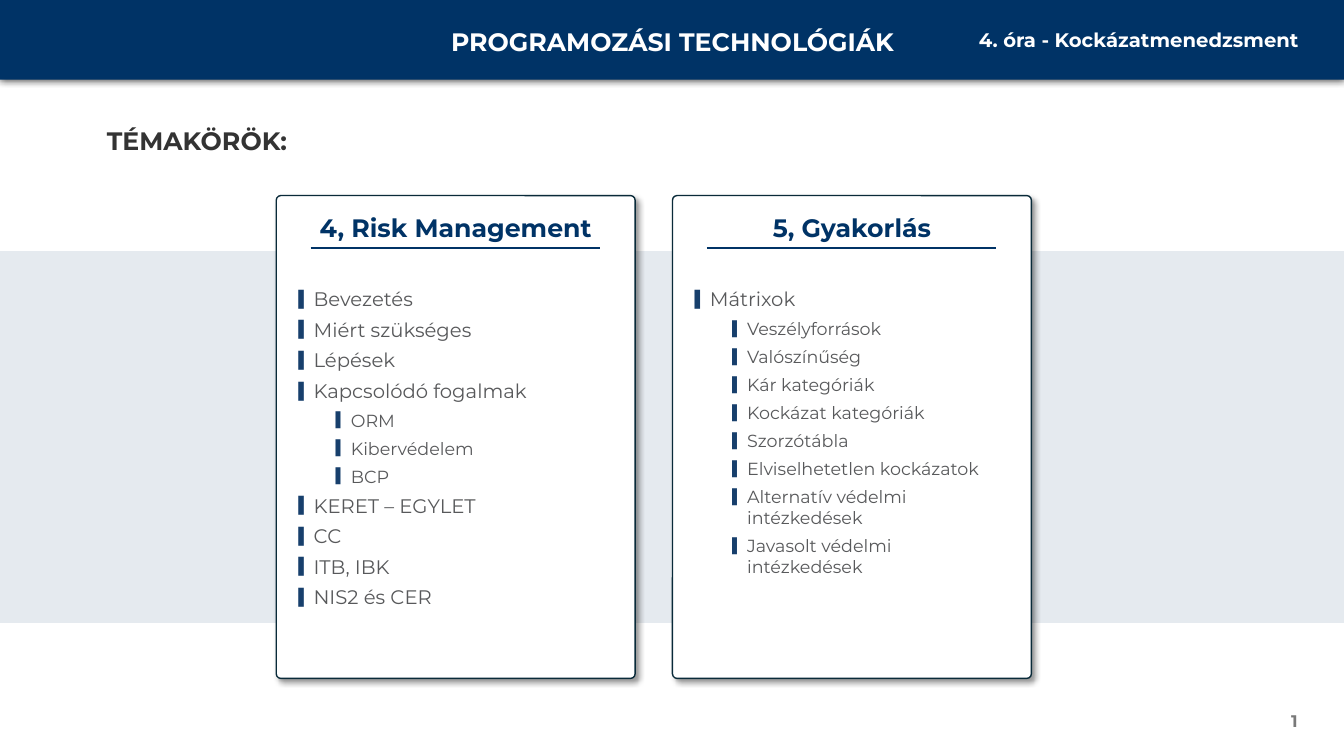
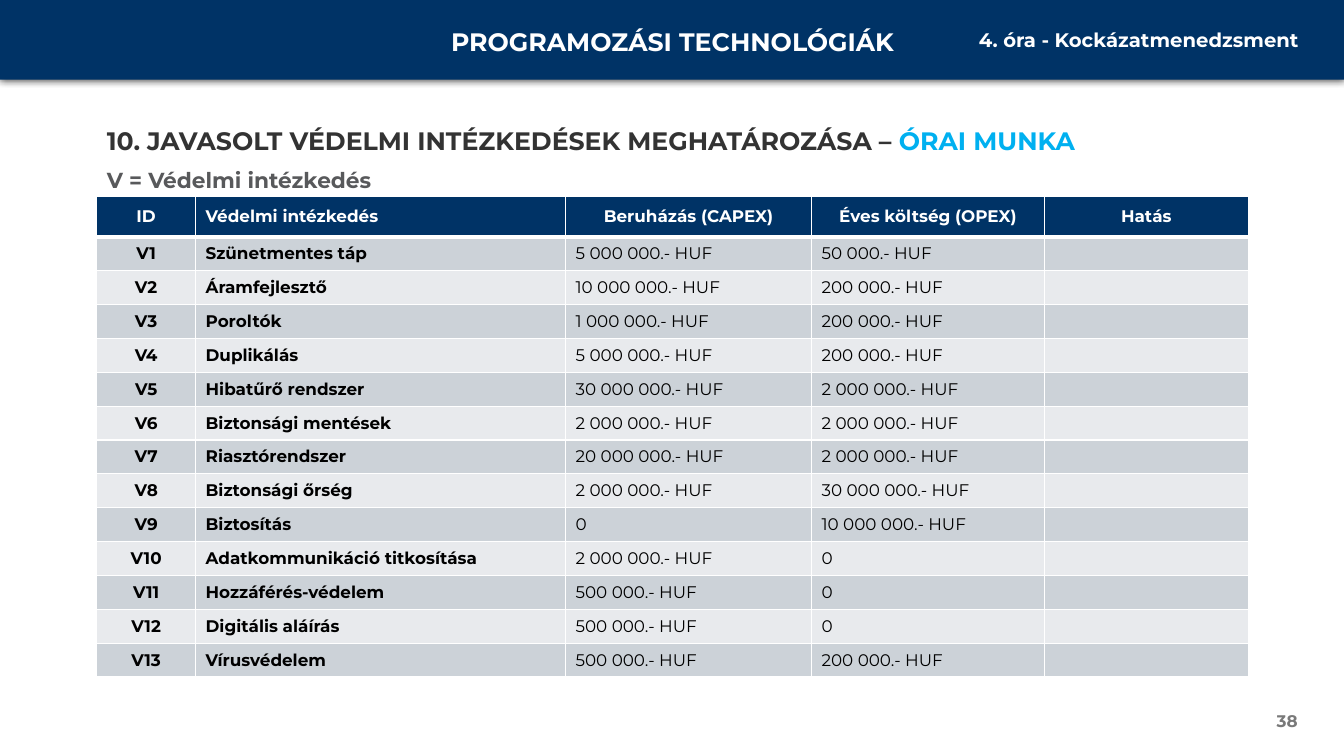
from dataclasses import dataclass

from lxml import etree
from pptx import Presentation
from pptx import util as u
from pptx.dml.color import RGBColor
from pptx.enum import shapes, text
from pptx.oxml import ns

PX = 9144
FONT = "Montserrat"
NAVY, WHITE, BLACK = "003366", "FFFFFF", "000000"
DARK, GREY, NUMBER_GREY = "333333", "58595B", "797979"
CARD_LINE, BULLET, ACCENT = "092A39", "173F6C", "00B0F0"
BANDS = ("E8EAED", "CCD2D8")
LEFT, CENTER, RIGHT = text.PP_ALIGN.LEFT, text.PP_ALIGN.CENTER, text.PP_ALIGN.RIGHT
TOP, MIDDLE = text.MSO_ANCHOR.TOP, text.MSO_ANCHOR.MIDDLE


@dataclass(frozen=True)
class Box:
    left: int
    top: int
    width: int
    height: int

    def emu(self) -> list[int]:
        return [px(v) for v in (self.left, self.top, self.width, self.height)]


@dataclass(frozen=True)
class Style:
    size: float
    color: str
    bold: bool = True
    align: text.PP_ALIGN = LEFT


@dataclass(frozen=True)
class Shadow:
    alpha: int
    blur: int
    dist: int
    angle: int


@dataclass(frozen=True)
class Item:
    text: str
    level: int = 0


@dataclass(frozen=True)
class Card:
    heading: str
    items: list[Item]


TITLE = Style(18, DARK)
CARD_TOP, CARD_W, CARD_H, CARD_LEFT, CARD_PITCH = 194, 356, 479, 274, 393
CARDS = [
    Card("4, Risk Management", [
        Item("Bevezetés"), Item("Miért szükséges"), Item("Lépések"),
        Item("Kapcsolódó fogalmak"), Item("ORM", 1), Item("Kibervédelem", 1),
        Item("BCP", 1), Item("KERET – EGYLET"), Item("CC"), Item("ITB, IBK"),
        Item("NIS2 és CER"),
    ]),
    Card("5, Gyakorlás", [
        Item("Mátrixok"), Item("Veszélyforrások", 1), Item("Valószínűség", 1),
        Item("Kár kategóriák", 1), Item("Kockázat kategóriák", 1),
        Item("Szorzótábla", 1), Item("Elviselhetetlen kockázatok", 1),
        Item("Alternatív védelmi intézkedések", 1),
        Item("Javasolt védelmi intézkedések", 1),
    ]),
]

COLUMNS = [98, 367, 244, 231, 202]
HEADER = ["ID", "Védelmi intézkedés", "Beruházás (CAPEX)", "Éves költség (OPEX)", "Hatás"]
MEASURES = [
    ("Szünetmentes táp", "5 000 000.- HUF", "50 000.- HUF"),
    ("Áramfejlesztő", "10 000 000.- HUF", "200 000.- HUF"),
    ("Poroltók", "1 000 000.- HUF", "200 000.- HUF"),
    ("Duplikálás", "5 000 000.- HUF", "200 000.- HUF"),
    ("Hibatűrő rendszer", "30 000 000.- HUF", "2 000 000.- HUF"),
    ("Biztonsági mentések", "2 000 000.- HUF", "2 000 000.- HUF"),
    ("Riasztórendszer", "20 000 000.- HUF", "2 000 000.- HUF"),
    ("Biztonsági őrség", "2 000 000.- HUF", "30 000 000.- HUF"),
    ("Biztosítás", "0", "10 000 000.- HUF"),
    ("Adatkommunikáció titkosítása", "2 000 000.- HUF", "0"),
    ("Hozzáférés-védelem", "500 000.- HUF", "0"),
    ("Digitális aláírás", "500 000.- HUF", "0"),
    ("Vírusvédelem", "500 000.- HUF", "200 000.- HUF"),
]


def px(n: int) -> int:
    return n * PX


def rgb(value: str) -> RGBColor:
    return RGBColor.from_string(value)


def sub(parent, tag: str, **attrs):
    return etree.SubElement(parent, ns.qn(tag), {k: str(v) for k, v in attrs.items()})


def set_font(p, style: Style) -> None:
    p.alignment = style.align
    p.font.name = FONT
    p.font.size = u.Pt(style.size)
    p.font.bold = style.bold
    p.font.color.rgb = rgb(style.color)


def prepare_frame(tf, anchor=TOP) -> None:
    tf.word_wrap = True
    tf.auto_size = text.MSO_AUTO_SIZE.NONE
    tf.vertical_anchor = anchor


def add_text(s, box: Box, words: str, style: Style, anchor=TOP) -> None:
    tf = s.shapes.add_textbox(*box.emu()).text_frame
    prepare_frame(tf, anchor)
    p = tf.paragraphs[0]
    p.text = words
    set_font(p, style)


def add_box(s, box: Box, fill: str, kind=shapes.MSO_SHAPE.RECTANGLE,
            alpha: int = 100, shadow: Shadow | None = None):
    sp = s.shapes.add_shape(kind, *box.emu())
    sp.shadow.inherit = False
    sp.fill.solid()
    sp.fill.fore_color.rgb = rgb(fill)
    sp.line.fill.background()
    if alpha < 100:
        color = sp.element.spPr.find(".//" + ns.qn("a:srgbClr"))
        sub(color, "a:alpha", val=alpha * 1000)
    if shadow:
        effects = sp.element.spPr.find(ns.qn("a:effectLst"))
        outer = sub(effects, "a:outerShdw", blurRad=u.Pt(shadow.blur),
                    dist=u.Pt(shadow.dist), dir=shadow.angle * 60000,
                    algn="t" if shadow.angle == 90 else "tl", rotWithShape=0)
        sub(sub(outer, "a:srgbClr", val=BLACK), "a:alpha", val=shadow.alpha * 1000)
    return sp


def place(sp, box: Box):
    sp.left, sp.top, sp.width, sp.height = box.emu()
    sp.element.getparent().append(sp.element)
    prepare_frame(sp.text_frame)
    return sp.text_frame


def add_frame(s, title: str, accent: str, number: int) -> None:
    add_box(s, Box(0, 0, 1333, 79), NAVY, shadow=Shadow(80, 6, 0, 90))
    add_text(s, Box(406, 21, 522, 40), "PROGRAMOZÁSI TECHNOLÓGIÁK",
             Style(18, WHITE, align=CENTER))
    add_text(s, Box(937, 23, 361, 34), "4. óra - Kockázatmenedzsment",
             Style(14, WHITE, align=RIGHT))
    add_text(s, Box(997, 695, 300, 40), str(number),
             Style(12, NUMBER_GREY, align=RIGHT), MIDDLE)
    p = place(s.shapes.title, Box(96, 119, 1142, 40)).paragraphs[0]
    p.add_run().text = title
    set_font(p, TITLE)
    if accent:
        r = p.add_run()
        r.text = accent
        r.font.color.rgb = rgb(ACCENT)


def add_bullet(p, level: int) -> None:
    pPr = p._p.get_or_add_pPr()
    pPr.set("marL", str(px(52 if level else 15)))
    pPr.set("indent", str(px(-15)))
    sub(sub(pPr, "a:buClr"), "a:srgbClr", val=BULLET)
    sub(pPr, "a:buSzPct", val=80000)
    sub(pPr, "a:buChar", char="▌")


def fill_list(tf, items: list[Item]) -> None:
    for i, item in enumerate(items):
        p = tf.add_paragraph() if i else tf.paragraphs[0]
        p.text = item.text
        p.level = item.level
        p.space_before = u.Pt(3 if i else 0)
        p.space_after = u.Pt(2)
        add_bullet(p, item.level)
        set_font(p, Style(12.5 if item.level else 14, GREY, False))


def add_card(s, card: Card, left: int, body) -> None:
    sp = add_box(s, Box(left, CARD_TOP, CARD_W, CARD_H), WHITE,
                 shapes.MSO_SHAPE.ROUNDED_RECTANGLE, shadow=Shadow(40, 4, 3, 45))
    sp.adjustments[0] = 0.013
    sp.line.color.rgb = rgb(CARD_LINE)
    sp.line.width = u.Pt(1)
    add_text(s, Box(left, CARD_TOP + 12, CARD_W, 40), card.heading,
             Style(18, NAVY, align=CENTER))
    y = px(CARD_TOP + 52)
    rule = s.shapes.add_connector(shapes.MSO_CONNECTOR.STRAIGHT,
                                  px(left + 34), y, px(left + 321), y)
    rule.line.color.rgb = rgb(NAVY)
    rule.line.width = u.Pt(1.5)
    sub(rule.element.spPr, "a:effectLst")
    fill_list(place(body, Box(left + 12, CARD_TOP + 86, 331, 369)), card.items)


def format_cell(cell, words: str, style: Style, fill: str, top: int, bottom: int) -> None:
    cell.text = words
    cell.vertical_anchor = MIDDLE
    p = cell.text_frame.paragraphs[0]
    set_font(p, style)
    if not words:
        sub(p._p, "a:endParaRPr", sz=int(style.size * 100))
    tcPr = cell._tc.get_or_add_tcPr()
    for tag, width in (("a:lnL", 1), ("a:lnR", 1), ("a:lnT", top), ("a:lnB", bottom)):
        ln = sub(tcPr, tag, w=u.Pt(width))
        sub(sub(ln, "a:solidFill"), "a:srgbClr", val=WHITE)
    cell.fill.solid()
    cell.fill.fore_color.rgb = rgb(fill)


def add_measures(s, box: Box) -> None:
    rows = [HEADER] + [[f"V{i}", *m, ""] for i, m in enumerate(MEASURES, 1)]
    table = s.shapes.add_table(len(rows), len(COLUMNS), *box.emu()).table
    table.horz_banding = False
    for column, width in zip(table.columns, COLUMNS):
        column.width = px(width)
    header_height = 40
    for i, row in enumerate(rows):
        head = i == 0
        table.rows[i].height = (px(header_height) if head else
                                px(box.height - header_height) // len(MEASURES))
        for j, words in enumerate(row):
            centred = j == 0 or (head and j > 1)
            style = Style(12, WHITE if head else BLACK, head or j < 2,
                          CENTER if centred else LEFT)
            format_cell(table.cell(i, j), words, style, NAVY if head else BANDS[i % 2],
                        top=3 if i == 1 else 1, bottom=3 if head else 1)


def build_topics(prs) -> None:
    s = prs.slides.add_slide(prs.slide_layouts[3])
    add_box(s, Box(0, 249, 1333, 369), NAVY, alpha=10)
    add_frame(s, "TÉMAKÖRÖK:", "", 1)
    for i, card in enumerate(CARDS):
        add_card(s, card, CARD_LEFT + i * CARD_PITCH, s.placeholders[i + 1])


def build_measures(prs) -> None:
    s = prs.slides.add_slide(prs.slide_layouts[1])
    add_frame(s, "10. JAVASOLT VÉDELMI INTÉZKEDÉSEK MEGHATÁROZÁSA – ", "ÓRAI MUNKA", 38)
    p = place(s.placeholders[1], Box(96, 160, 1142, 35)).paragraphs[0]
    p.text = "V = Védelmi intézkedés"
    p.space_before = u.Pt(0)
    pPr = p._p.get_or_add_pPr()
    pPr.set("marL", "0")
    pPr.set("indent", "0")
    sub(pPr, "a:buNone")
    set_font(p, Style(15.5, GREY))
    add_measures(s, Box(96, 195, 1142, 477))


def main() -> None:
    prs = Presentation()
    prs.slide_width, prs.slide_height = u.Inches(13.33), u.Inches(7.5)
    build_topics(prs)
    build_measures(prs)
    prs.save("out.pptx")


if __name__ == "__main__":
    main()
